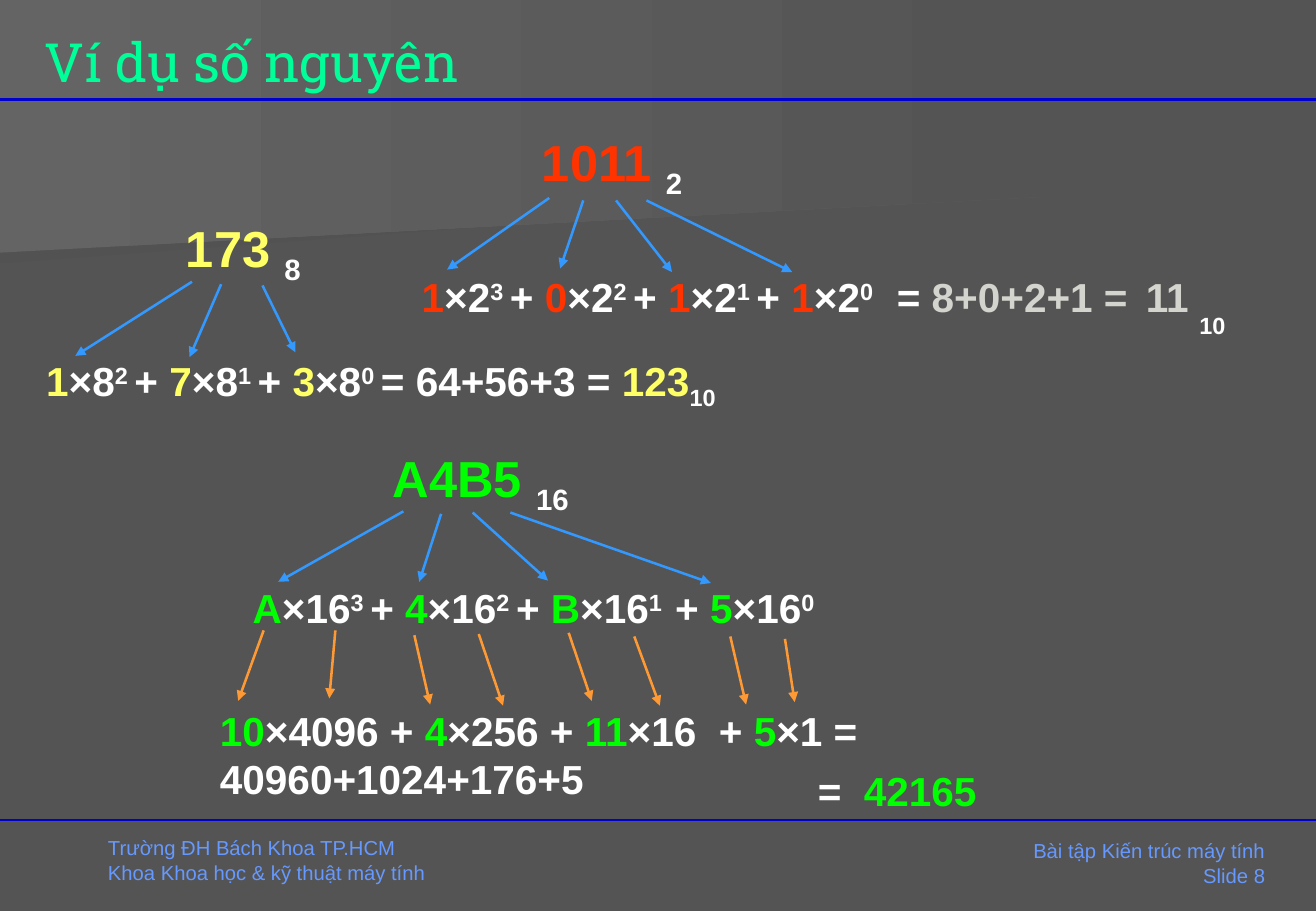
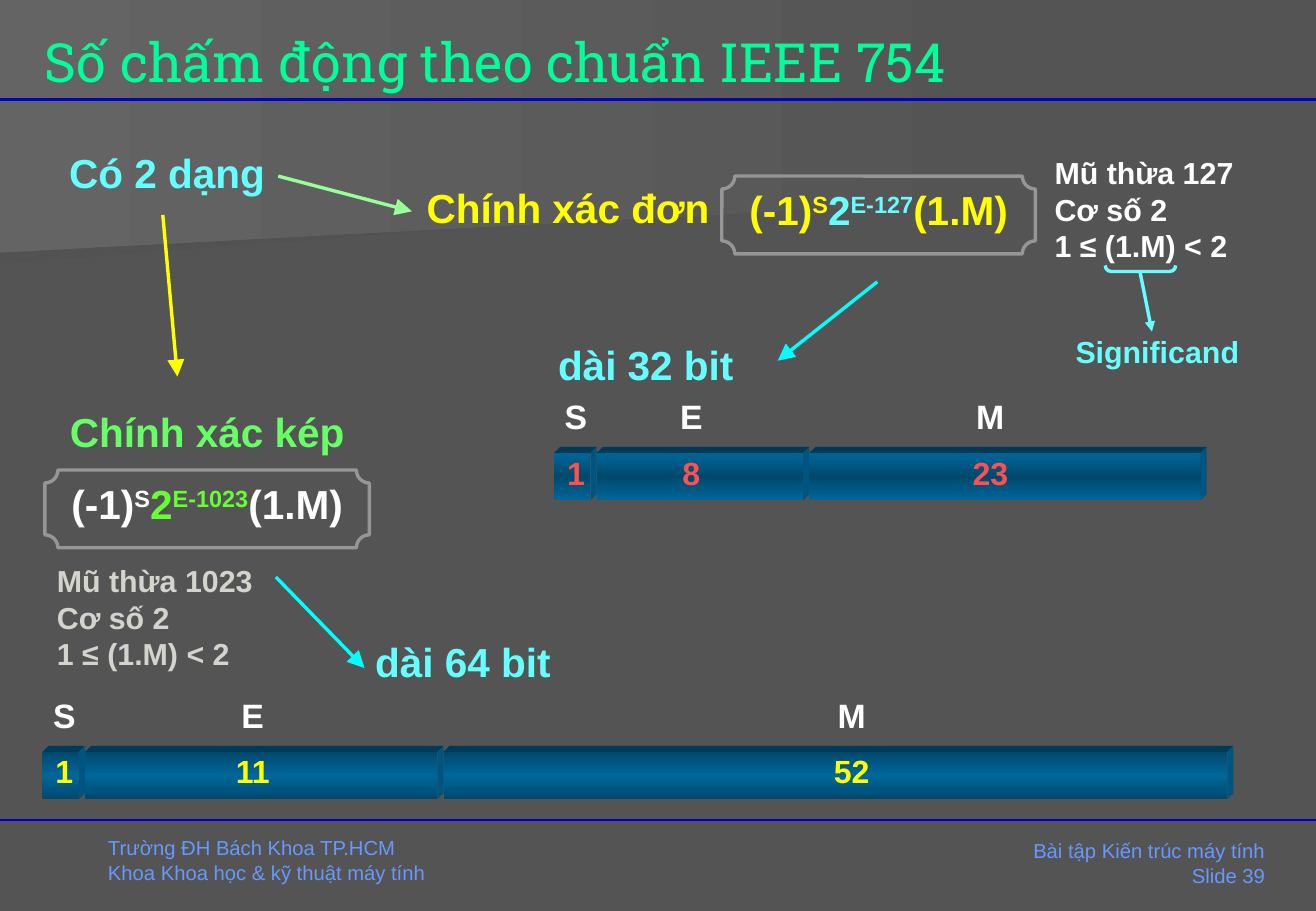
from copy import deepcopy

from pptx import Presentation
from pptx import util as u
from pptx.dml.color import RGBColor
from pptx.enum import shapes, text
from pptx.oxml.ns import qn
from lxml import etree

C = {
    "bg": "545454", "band": "646464", "shade": "525252", "rule": "0000CC",
    "footer": "6699FF", "title": "00FF99", "white": "FFFFFF", "gray": "D4D4CE",
    "frame": "969696", "red": "FF3300", "yellow": "FFFF66", "green": "00FF00",
    "blue": "3399FF", "orange": "FF9933", "cyan": "66FFFF", "aqua": "00FFFF",
    "mint": "99FF99", "lemon": "FFFF00", "leaf": "66FF66", "lime": "66FF33",
    "coral": "FF5050", "bar_light": "006699", "bar_dark": "00496D",
    "bar_top": "003A57", "bar_side": "005580",
}
C = {name: RGBColor.from_string(value) for name, value in C.items()}
SUP, SUB = 30000, -25000
LEFT, CENTER, RIGHT = text.PP_ALIGN.LEFT, text.PP_ALIGN.CENTER, text.PP_ALIGN.RIGHT


def write(sp, paras, size, align=LEFT, inset=(0, 0), anchor="TOP", font="Arial", bold=True):
    """Fill a shape with paragraphs of runs: (text, colour, baseline, extra spacing)."""
    tf = sp.text_frame
    tf.word_wrap = True
    tf.margin_left = tf.margin_right = u.Inches(inset[0])
    tf.margin_top = tf.margin_bottom = u.Inches(inset[1])
    tf.vertical_anchor = getattr(text.MSO_ANCHOR, anchor)
    for i, runs in enumerate(paras):
        p = tf.add_paragraph() if i else tf.paragraphs[0]
        p.alignment = align
        for words, colour, *extra in runs:
            r = p.add_run()
            r.text = words
            r.font.size, r.font.name, r.font.bold = u.Pt(size), font, bold
            r.font.color.rgb = C[colour]
            for attr, value in zip(("baseline", "spc"), extra):
                if value:
                    r.font._element.set(attr, str(value))


def line(s, ends, colour, width=1.5, head=None):
    c = s.shapes.add_connector(shapes.MSO_CONNECTOR.STRAIGHT, *map(u.Inches, ends))
    c.line.color.rgb, c.line.width = C[colour], u.Pt(width)
    if head:
        etree.SubElement(c.line._get_or_add_ln(), qn("a:tailEnd"),
                         type="triangle", w=head, len=head)
    etree.SubElement(c._element.spPr, qn("a:effectLst"))


prs = Presentation()
prs.slide_width, prs.slide_height = u.Inches(10.83), u.Inches(7.5)
master_fill = prs.slide_master.background.fill
master_fill.solid()
master_fill.fore_color.rgb = C["bg"]

# Shared bands, rules, title and footers
bands = [
    ("shade", [(0, 1.01), (8.44, 1.01), (8.43, 1.53), (0, 2.17)]),
    ("band", [(0, 0), (8.58, 0), (8.58, 1.62), (0, 2.08)]),
]
slides = []
for title, number in [("Ví dụ số nguyên", 8), ("Số chấm động theo chuẩn IEEE 754", 39)]:
    s = prs.slides.add_slide(prs.slide_layouts[6])
    slides.append(s)
    for colour, points in bands:
        points = [tuple(map(u.Inches, pt)) for pt in points]
        fb = s.shapes.build_freeform(*points[0])
        fb.add_line_segments(points[1:])
        sp = fb.convert_to_shape()
        sp.shadow.inherit = False
        sp.line.fill.background()
        sp.fill.gradient()
        sp.fill.gradient_angle = 0
        for stop, name in zip(sp.fill.gradient_stops, (colour, "bg")):
            stop.color.rgb = C[name]
    for y in (6.75, 0.82):
        line(s, (0, y, 10.83, y), "rule")
    school = ["Trường ĐH Bách Khoa TP.HCM", "Khoa Khoa học & kỹ thuật máy tính"]
    course = ["Bài tập Kiến trúc máy tính", f"Slide {number}"]
    for at, lines, size, colour, align, anchor, font in [
        ((0.27, 0.19, 10.25, 0.63), [title], 32, "title", LEFT, "MIDDLE", "Roboto Slab"),
        ((0.79, 6.83, 3.22, 0.5), school, 12, "footer", LEFT, "TOP", "Arial"),
        ((7.65, 6.86, 2.86, 0.49), course, 12, "footer", RIGHT, "MIDDLE", "Arial"),
    ]:
        write(s.shapes.add_textbox(*map(u.Inches, at)), [[(t, colour)] for t in lines],
              size, align, (0.1, 0.05), anchor, font, bold=False)

# Slide 1: numbers expanded by powers of their base
s = slides[0]
WIDE = (" ", "white", 0, 667)
expansions = {}
for digits, base, colour in [("1011", 2, "red"), ("173", 8, "yellow"), ("A4B5", 16, "green")]:
    runs = expansions[base] = []
    for power, digit in zip(reversed(range(len(digits))), digits):
        runs += [(digit, colour), (f"×{base}", "white")]
        if power == 0:
            runs.append(("0", "white", SUP))
        elif base == 16 and power == 1:
            runs += [("1", "white", SUP), (" ", "white", SUP, 400), ("+ ", "white")]
        else:
            runs += [(f"{power} ", "white", SUP), ("+ ", "white")]
expansions[8] += [(" ", "white", SUP), ("= 64+56+3 = ", "white"), ("123", "yellow"),
                  ("10", "white", SUB)]
products = [("10", "green"), ("×4096 + ", "white"), ("4", "green"), ("×256 + ", "white"),
            ("11", "green"), ("×16", "white"), WIDE, ("+ ", "white"), ("5", "green"),
            ("×1 =", "white"), WIDE, ("40960+1024+176+5", "white")]
for at, size, runs in [
    ((4.46, 1.08, 1.49, 0.5), 30, [("1011 ", "red"), ("2", "white", SUB)]),
    ((3.47, 2.24, 3.95, 0.44), 24, expansions[2]),
    ((1.53, 1.79, 1.49, 0.5), 30, [("173 ", "yellow"), ("8", "white", SUB)]),
    ((0.38, 2.93, 6.23, 0.5), 24, expansions[8]),
    ((3.23, 3.68, 1.69, 0.5), 30, [("A4B5 ", "green"), ("16", "white", SUB)]),
    ((2.08, 4.8, 4.99, 0.41), 24, expansions[16]),
    ((1.81, 5.81, 8.39, 0.41), 24, products),
    ((6.73, 6.31, 1.48, 0.41), 24, [("=", "white"), WIDE, ("42165", "green")]),
    ((7.38, 2.24, 2.08, 0.44), 24, [("= ", "white"), ("8+0+2+1 =", "gray")]),
    ((9.43, 2.24, 0.42, 0.46), 24, [("11", "gray")]),
    ((9.87, 2.34, 0.42, 0.41), 24, [("10", "white", SUB)]),
]:
    write(s.shapes.add_textbox(*map(u.Inches, at)), [runs], size)

digit_arrows = [
    (4.52, 1.63, 3.68, 2.22), (4.8, 1.65, 4.61, 2.21),
    (5.07, 1.65, 5.53, 2.24), (5.32, 1.65, 6.52, 2.24),
    (1.58, 2.32, 0.62, 2.93), (1.82, 2.34, 1.56, 2.94), (2.16, 2.35, 2.43, 2.9),
    (3.32, 4.21, 2.29, 4.79), (3.63, 4.23, 3.45, 4.79),
    (3.89, 4.22, 4.51, 4.78), (4.2, 4.22, 5.85, 4.8),
]
value_arrows = [
    (2.17, 5.19, 1.96, 5.77), (2.76, 5.19, 2.71, 5.75),
    (3.41, 5.23, 3.54, 5.8), (3.94, 5.22, 4.14, 5.81),
    (4.68, 5.21, 4.87, 5.77), (5.22, 5.24, 5.43, 5.81),
    (6.01, 5.24, 6.14, 5.8), (6.46, 5.26, 6.54, 5.78),
]
for colour, arrows in [("blue", digit_arrows), ("orange", value_arrows)]:
    for ends in arrows:
        line(s, ends, colour, head="med")

# Slide 2: labels
s = slides[1]
for at, lines, size, colour, align in [
    ((0.46, 1.12, 1.83, 0.6), ["Có 2 dạng"], 24, "cyan", CENTER),
    ((0.35, 3.25, 2.71, 0.59), ["Chính xác kép"], 24, "leaf", CENTER),
    ((3.38, 1.41, 2.59, 0.6), ["Chính xác đơn"], 24, "lemon", CENTER),
    ((2.9, 5.14, 1.82, 0.58), ["dài 64 bit"], 24, "cyan", CENTER),
    ((4.4, 2.7, 1.83, 0.58), ["dài 32 bit"], 24, "cyan", CENTER),
    ((8.61, 2.64, 1.83, 0.46), ["Significand"], 18, "cyan", CENTER),
    ((0.37, 4.53, 2.03, 1.09), ["Mũ thừa 1023", "Cơ số 2", "1 ≤ (1.M) < 2"], 18, "gray", LEFT),
    ((8.58, 1.17, 1.75, 1.11), ["Mũ thừa 127", "Cơ số 2", "1 ≤ (1.M) < 2"], 18, "white", LEFT),
]:
    write(s.shapes.add_textbox(*map(u.Inches, at)), [[(t, colour)] for t in lines],
          size, align, (0.1, 0.1))

# Formula plaques and the bracket under (1.M)
for kind, at, adj, colour, formula in [
    ("PLAQUE", (0.37, 3.87, 2.67, 0.64), 0.167, "frame", ("white", "lime", "E-1023")),
    ("PLAQUE", (5.94, 1.45, 2.58, 0.64), 0.167, "frame", ("lemon", "cyan", "E-127")),
    ("RIGHT_BRACKET", (9.36, 1.92, 0.05, 0.58), 0.957, "cyan", None),
]:
    sp = s.shapes.add_shape(getattr(shapes.MSO_SHAPE, kind), *map(u.Inches, at))
    sp.shadow.inherit = False
    sp.adjustments[0] = adj
    sp.fill.background()
    sp.line.color.rgb, sp.line.width = C[colour], u.Pt(2)
    if formula:
        outer, inner, exponent = formula
        write(sp, [[("(-1)", outer), ("S", outer, SUP), ("2", inner),
                    (exponent, inner, SUP), ("(1.M)", outer)]], 24, CENTER)
    else:
        sp.rotation = 90

for ends, colour, head in [
    ((2.29, 1.45, 3.39, 1.74), "mint", "lg"),
    ((1.34, 1.77, 1.46, 3.1), "lemon", "lg"),
    ((2.27, 4.75, 3, 5.5), "aqua", "lg"),
    ((7.22, 2.32, 6.4, 2.97), "aqua", "lg"),
    ((9.38, 2.23, 9.48, 2.73), "cyan", "med"),
]:
    line(s, ends, colour, 2, head)

# Bit fields: a raised bar for each field, with its letter and its bit count
HEIGHT, DEPTH = 0.39, 0.05
for top, edge, middle, colour, fields in [
    (3.73, "bar_light", "bar_dark", "coral",
     [("S", "1", 4.56, 0.3, 4.74), ("E", "8", 4.91, 1.7, 5.69), ("M", "23", 6.66, 3.22, 8.15)]),
    (6.19, "bar_dark", "bar_light", "lemon",
     [("S", "1", 0.35, 0.3, 0.53), ("E", "11", 0.7, 2.9, 2.08), ("M", "52", 3.65, 6.45, 7.01)]),
]:
    for letter, bits, x, width, mid in fields:
        right, bottom = x + width, top + HEIGHT
        sp = s.shapes.add_shape(shapes.MSO_SHAPE.RECTANGLE,
                                *map(u.Inches, (x, top, width, HEIGHT)))
        sp.shadow.inherit = False
        sp.line.fill.background()
        sp.fill.gradient()
        sp.fill.gradient_angle = 90
        stops = sp._element.spPr.find(".//" + qn("a:gsLst"))
        stops.insert(1, deepcopy(stops[0]))
        for gs, stop, pos, name in zip(stops, sp.fill.gradient_stops, (0, 50000, 100000),
                                       (edge, middle, edge)):
            gs.set("pos", str(pos))
            stop.color.rgb = C[name]
        faces = [
            ("bar_top", [(x, top), (x + DEPTH, top - DEPTH), (right + DEPTH, top - DEPTH),
                         (right, top)]),
            ("bar_side", [(right, top), (right + DEPTH, top - DEPTH),
                          (right + DEPTH, bottom - DEPTH), (right, bottom)]),
        ]
        for face, points in faces:
            points = [tuple(map(u.Inches, pt)) for pt in points]
            fb = s.shapes.build_freeform(*points[0])
            fb.add_line_segments(points[1:])
            sp = fb.convert_to_shape()
            sp.shadow.inherit = False
            sp.line.fill.background()
            sp.fill.solid()
            sp.fill.fore_color.rgb = C[face]
        for words, y, size, tint in [(bits, top, 19, colour), (letter, top - 0.47, 20, "white")]:
            sp = s.shapes.add_textbox(*map(u.Inches, (mid - 0.23, y, 0.46, 0.34)))
            write(sp, [[(words, tint)]], size, CENTER)

prs.save("out.pptx")
